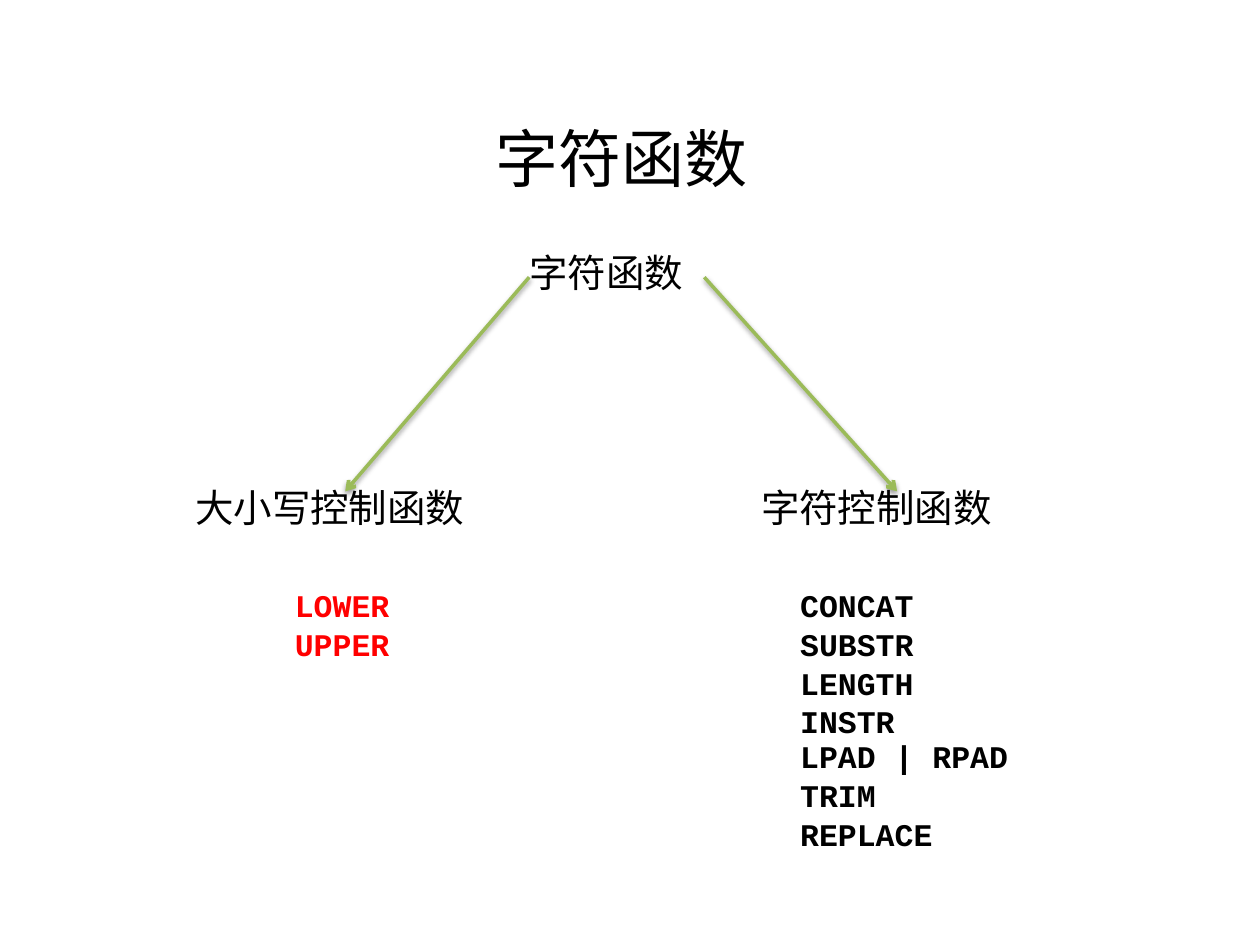
from lxml import etree
from pptx import Presentation
from pptx.dml.color import RGBColor
from pptx.enum.shapes import MSO_CONNECTOR
from pptx.enum.text import MSO_ANCHOR, MSO_AUTO_SIZE, PP_ALIGN
from pptx.oxml import parse_xml
from pptx.util import Inches, Pt

STRAIGHT = MSO_CONNECTOR.STRAIGHT
TOP = MSO_ANCHOR.TOP
NO_FIT = MSO_AUTO_SIZE.NONE
LEFT = PP_ALIGN.LEFT

COLORS = {"text": "000000", "highlight": "FF0000", "arrow": "9BBB59", "shadow": "000000"}
HEADING_FONT = "Lato"
CODE_FONT = "Courier New"
DRAWING_NS = "http://schemas.openxmlformats.org/drawingml/2006/main"


def fill_text(shape, lines, font, size, leading, color="text", bold=False, gap=0):
    frame = shape.text_frame
    frame.word_wrap = True
    frame.auto_size = NO_FIT
    frame.vertical_anchor = TOP
    frame.margin_left = frame.margin_right = frame.margin_top = frame.margin_bottom = 0
    frame.text = "\n".join(lines)
    for index, para in enumerate(frame.paragraphs):
        para.alignment = LEFT
        para.line_spacing = Pt(leading)
        para.space_before = Pt(gap if index else 0)
        para.font.name = font
        para.font.size = Pt(size)
        para.font.bold = bold
        para.font.color.rgb = RGBColor.from_string(COLORS[color])


def place_title(page, box, text):
    title = page.shapes.title
    title.left, title.top, title.width, title.height = map(Inches, box)
    fill_text(title, [text], HEADING_FONT, 36, 36)


def add_category(page, box, text):
    shape = page.shapes.add_textbox(*map(Inches, box))
    fill_text(shape, [text], HEADING_FONT, 22, 21.9)


def add_function_list(page, box, names, color="text"):
    shape = page.shapes.add_textbox(*map(Inches, box))
    fill_text(shape, names, CODE_FONT, 18, 20.4, color, bold=True, gap=1.7)


def add_arrow(page, start, end):
    arrow = page.shapes.add_connector(STRAIGHT, *map(Inches, start + end))
    arrow.line.color.rgb = RGBColor.from_string(COLORS["arrow"])
    arrow.line.width = Pt(2)
    etree.SubElement(arrow.line._get_or_add_ln(), f"{{{DRAWING_NS}}}tailEnd", type="arrow")
    arrow._element.spPr.append(parse_xml(
        f'<a:effectLst xmlns:a="{DRAWING_NS}">'
        f'<a:outerShdw blurRad="{Pt(3.1)}" dist="{Pt(1.6)}" dir="5400000" rotWithShape="0">'
        f'<a:srgbClr val="{COLORS["shadow"]}"><a:alpha val="38000"/></a:srgbClr>'
        '</a:outerShdw></a:effectLst>'))


def add_function_tree(page):
    add_category(page, (4.2, 2.04, 1.39, 0.31), "字符函数")
    add_category(page, (1.55, 3.9, 2.38, 0.31), "大小写控制函数")
    add_category(page, (6.04, 3.9, 2.16, 0.31), "字符控制函数")
    add_function_list(page, (2.34, 4.67, 1.13, 0.96), ["LOWER", "UPPER"], "highlight")
    add_function_list(page, (6.35, 4.67, 1.28, 1.56), ["CONCAT", "SUBSTR", "LENGTH", "INSTR"])
    add_function_list(page, (6.35, 5.87, 2.02, 1.26), ["LPAD | RPAD", "TRIM", "REPLACE"])
    add_arrow(page, (4.2, 2.2), (2.74, 3.9))
    add_arrow(page, (5.59, 2.2), (7.12, 3.9))


def main():
    deck = Presentation()
    deck.slide_width, deck.slide_height = Inches(10), Inches(7.5)
    page = deck.slides.add_slide(deck.slide_layouts[5])
    place_title(page, (3.93, 1.05, 2.76, 1.25), "字符函数")
    add_function_tree(page)
    deck.save("out.pptx")


if __name__ == "__main__":
    main()
